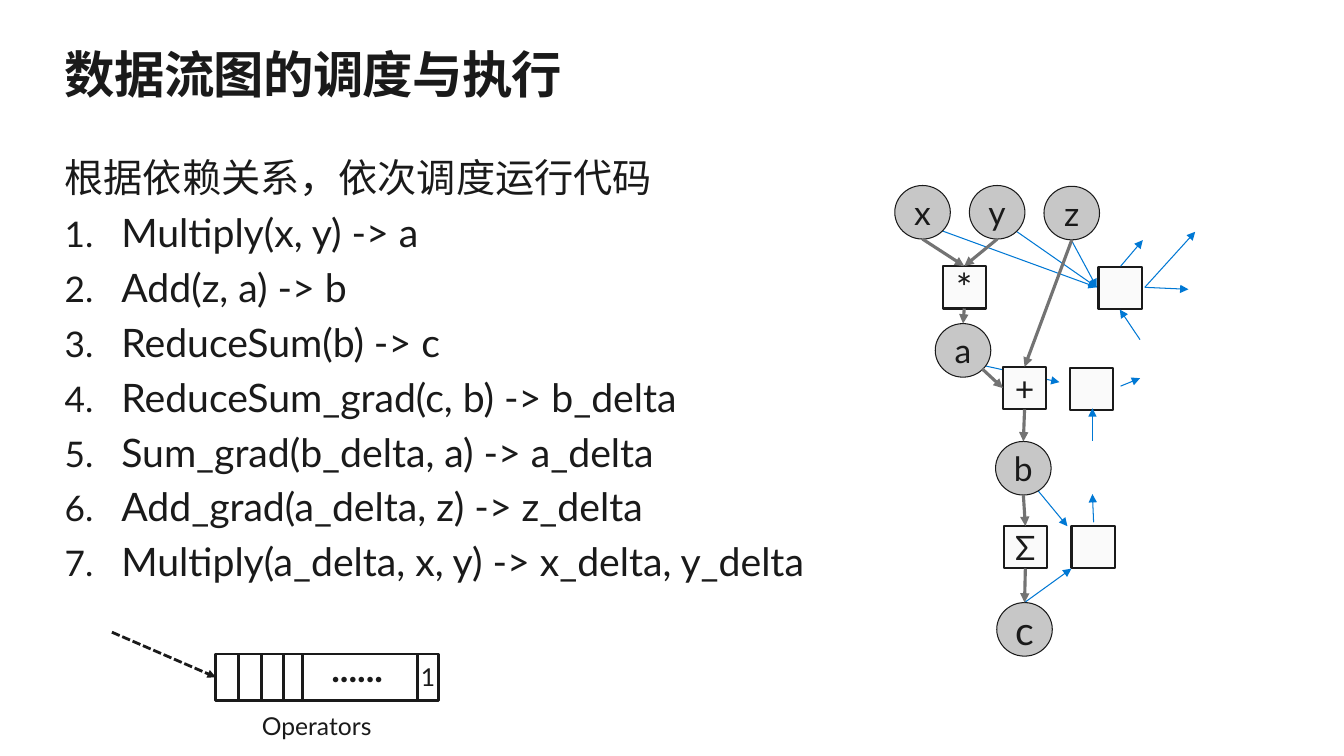
from lxml import etree
from pptx import Presentation
from pptx import util as u
from pptx.dml.color import RGBColor
from pptx.enum import dml, shapes, text
from pptx.oxml.ns import qn

INK = RGBColor(0x1A, 0x1A, 0x1A)
VALUE_FILL = RGBColor(0xC7, 0xC7, 0xC7)
OPERATOR_FILL = RGBColor(0xFA, 0xFA, 0xFA)
FORWARD = RGBColor(0x73, 0x73, 0x73)
BACKWARD = RGBColor(0x00, 0x78, 0xD4)
FONT = "Lato"

TITLE = "数据流图的调度与执行"
INTRO = "根据依赖关系，依次调度运行代码"
STEPS = [
    "Multiply(x, y) -> a",
    "Add(z, a) -> b",
    "ReduceSum(b) -> c",
    "ReduceSum_grad(c, b) -> b_delta",
    "Sum_grad(b_delta, a) -> a_delta",
    "Add_grad(a_delta, z) -> z_delta",
    "Multiply(a_delta, x, y) -> x_delta, y_delta",
]

VALUE_SIZE = (1.4, 1.35)
OPERATOR_SIZE = (1.09, 1.07)
VALUES = {
    "x": (23.25, 5.35, 24),
    "y": (25.13, 5.35, 24),
    "z": (27.01, 5.37, 24),
    "a": (24.27, 8.83, 24),
    "b": (25.79, 11.8, 24),
    "c": (25.82, 15.86, 28),
}
OPERATORS = {
    "*": (24.3, 7.24, 28),
    "+": (25.82, 9.78, 24),
    "Σ": (25.84, 13.79, 24),
}
GRADIENTS = [(27.55, 13.79), (27.5, 9.8), (28.23, 7.26)]
SITES = {"top": (0, -0.5), "bottom": (0, 0.5), "left": (-0.5, 0), "lower right": (0.35, 0.35)}
FORWARD_EDGES = [
    ("x", "bottom", "*", "top"),
    ("y", "bottom", "*", "top"),
    ("*", "bottom", "a", "top"),
    ("a", "lower right", "+", "left"),
    ("z", "bottom", "+", "top"),
    ("+", "bottom", "b", "top"),
    ("b", "bottom", "Σ", "top"),
    ("Σ", "bottom", "c", "top"),
]
BACKWARD_EDGES = [
    ((25.81, 15.19), (27, 14.33)),
    ((26.04, 12.22), (26.9, 13.26)),
    ((27.56, 13.16), (27.53, 12.45)),
    ((27.53, 11.1), (27.53, 10.29)),
    ((24.69, 9.19), (26.7, 9.63)),
    ((28.24, 9.73), (28.73, 9.53)),
    ((28.73, 8.56), (28.22, 7.8)),
    ((23.75, 5.82), (27.64, 7.24)),
    ((25.63, 5.84), (27.64, 7.24)),
    ((27, 6.05), (27.64, 7.24)),
    ((28.24, 6.71), (28.8, 6.05)),
    ((28.85, 7.24), (30.12, 5.84)),
    ((28.85, 7.24), (29.95, 7.29)),
]

QUEUE = (5.44, 16.48, 5.61, 1.17)
QUEUE_DIVIDERS = [6.02, 6.6, 7.14, 7.62, 10.52]
QUEUE_ARROW_START = (2.82, 15.93)
QUEUE_LABELS = [
    ("......", (8.1, 16.15, 2.03, 1.37), 26, True),
    ("1", (10.36, 16.56, 0.84, 1.02), 17.6, False),
    ("Operators", (6.35, 17.78, 4.6, 1.02), 17.6, False),
]

deck = Presentation()
deck.slide_width, deck.slide_height = u.Cm(33.87), u.Cm(19.05)
slide = deck.slides.add_slide(deck.slide_layouts[6])


def write(paragraph, words, size, bold=False):
    run = paragraph.add_run()
    run.text = words
    run.font.name = FONT
    run.font.size = u.Pt(size)
    run.font.bold = bold
    run.font.color.rgb = INK
    return run


def add_text(area, inset=True, wrap=True):
    frame = slide.shapes.add_textbox(*map(u.Cm, area)).text_frame
    frame.word_wrap = wrap
    if not inset:
        frame.margin_left = frame.margin_right = frame.margin_top = frame.margin_bottom = 0
    return frame


def add_block(kind, area, fill, line_width):
    block = slide.shapes.add_shape(kind, *map(u.Cm, area))
    block.shadow.inherit = False
    if fill is None:
        block.fill.background()
    else:
        block.fill.solid()
        block.fill.fore_color.rgb = fill
    block.line.color.rgb = INK
    block.line.width = u.Pt(line_width)
    return block


def add_node(kind, center, size, fill, line_width, label="", font_size=24):
    (x, y), (width, height) = center, size
    node = add_block(kind, (x - width / 2, y - height / 2, width, height), fill, line_width)
    if label:
        frame = node.text_frame
        frame.vertical_anchor = text.MSO_ANCHOR.MIDDLE
        frame.paragraphs[0].alignment = text.PP_ALIGN.CENTER
        write(frame.paragraphs[0], label, font_size)


def add_line(start, end, color, width, arrow=True, dash=None):
    line = slide.shapes.add_connector(
        shapes.MSO_CONNECTOR.STRAIGHT, *map(u.Cm, start + end))
    line.line.color.rgb = color
    line.line.width = u.Pt(width)
    if dash:
        line.line.dash_style = dash
    properties = line._element.spPr
    if arrow:
        etree.SubElement(properties.find(qn("a:ln")), qn("a:tailEnd"), type="triangle")
    etree.SubElement(properties, qn("a:effectLst"))


def site(name, side):
    x, y, _ = (VALUES | OPERATORS)[name]
    width, height = VALUE_SIZE if name in VALUES else OPERATOR_SIZE
    dx, dy = SITES[side]
    return x + dx * width, y + dy * height


heading = add_text((1.63, 1.27, 30.6, 1.55), inset=False).paragraphs[0]
heading.line_spacing = 0.9
write(heading, TITLE, 36, True).font._element.set("spc", "-50")

body = add_text((1.63, 3.99, 20.17, 14.12), inset=False)
body.paragraphs[0].line_spacing = 0.9
write(body.paragraphs[0], INTRO, 28)
for step in STEPS:
    item = body.add_paragraph()
    item.line_spacing = 0.9
    item.space_before = u.Pt(9)
    numbering = item._p.get_or_add_pPr()
    numbering.set("marL", str(u.Cm(1.43)))
    numbering.set("indent", str(-u.Cm(1.43)))
    etree.SubElement(numbering, qn("a:buSzPct"), val="90000")
    etree.SubElement(numbering, qn("a:buFont"), typeface=FONT)
    etree.SubElement(numbering, qn("a:buAutoNum"), type="arabicPeriod")
    write(item, step, 28)

for center in GRADIENTS:
    add_node(shapes.MSO_SHAPE.RECTANGLE, center, OPERATOR_SIZE, OPERATOR_FILL, 1.5)
for start, end in BACKWARD_EDGES:
    add_line(start, end, BACKWARD, 0.75)
for name, (x, y, font_size) in VALUES.items():
    add_node(shapes.MSO_SHAPE.OVAL, (x, y), VALUE_SIZE, VALUE_FILL, 0.75, name, font_size)
for name, (x, y, font_size) in OPERATORS.items():
    add_node(shapes.MSO_SHAPE.RECTANGLE, (x, y), OPERATOR_SIZE, OPERATOR_FILL, 1.5, name, font_size)
for source, source_side, target, target_side in FORWARD_EDGES:
    add_line(site(source, source_side), site(target, target_side), FORWARD, 2.25)

left, top, _, height = QUEUE
add_line(QUEUE_ARROW_START, (left, top + height / 2), INK, 2, dash=dml.MSO_LINE.SQUARE_DOT)
add_block(shapes.MSO_SHAPE.RECTANGLE, QUEUE, None, 2)
for x in QUEUE_DIVIDERS:
    add_line((x, top), (x, top + height), INK, 2, arrow=False)
for words, area, size, bold in QUEUE_LABELS:
    write(add_text(area, wrap=False).paragraphs[0], words, size, bold)

deck.save("out.pptx")
